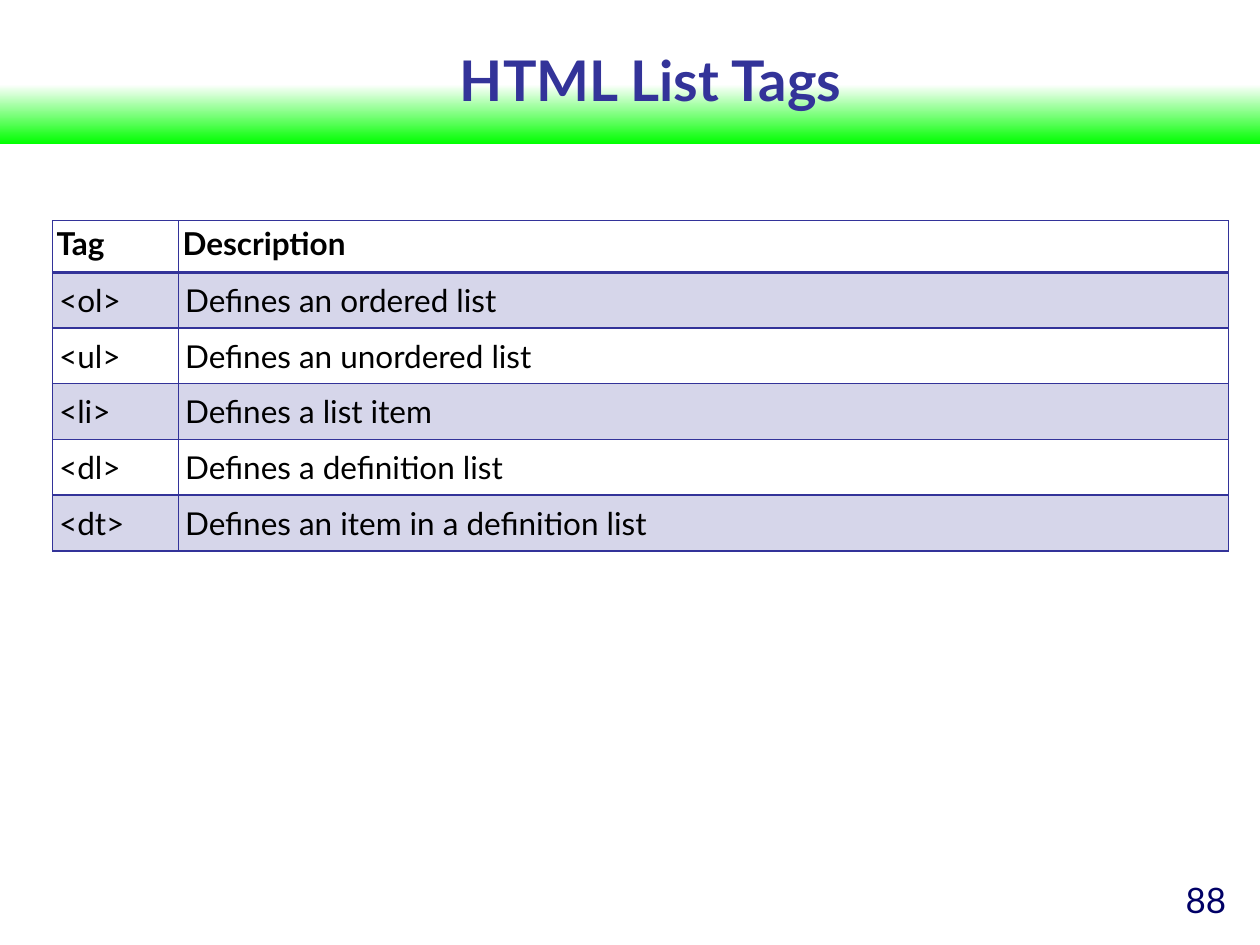
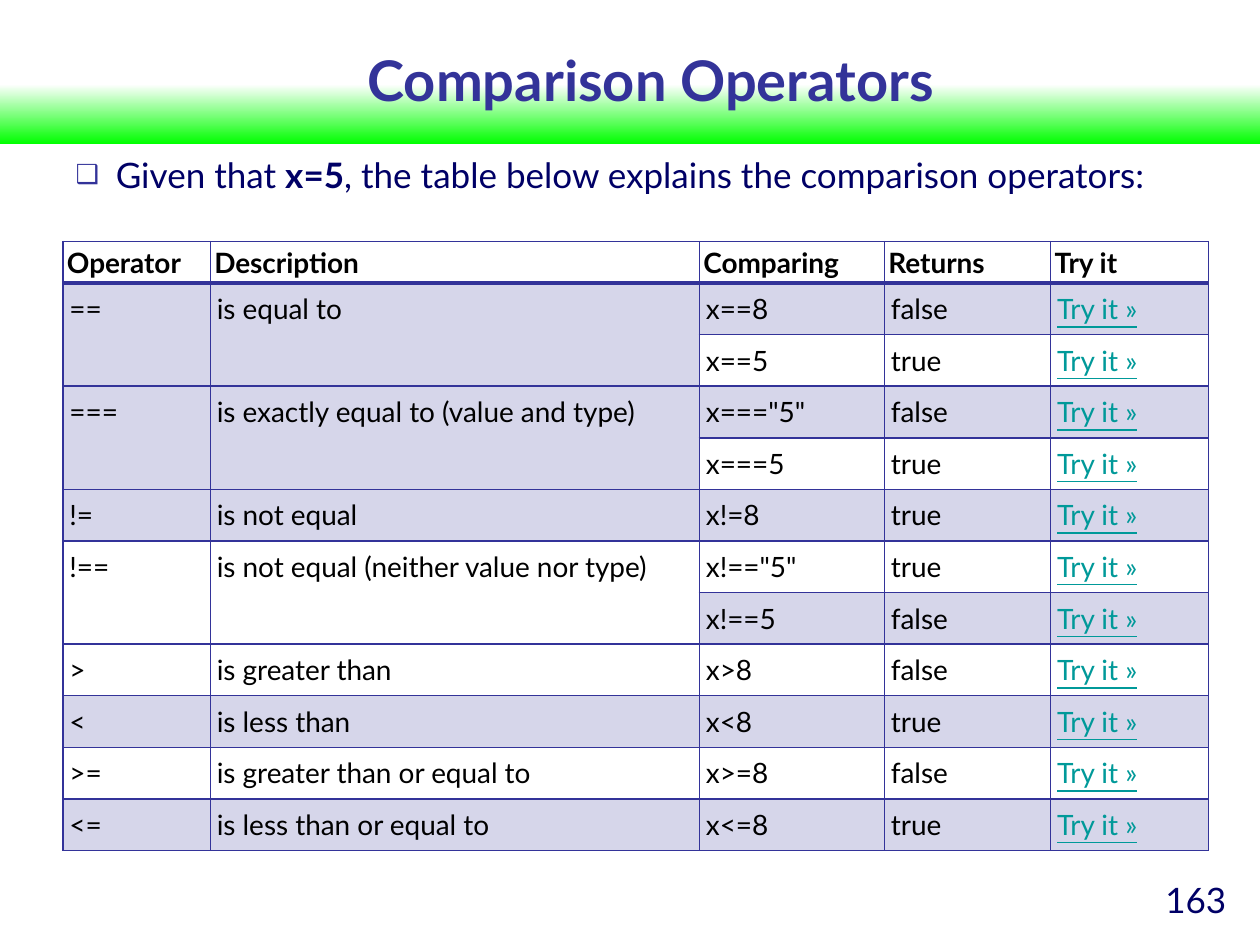
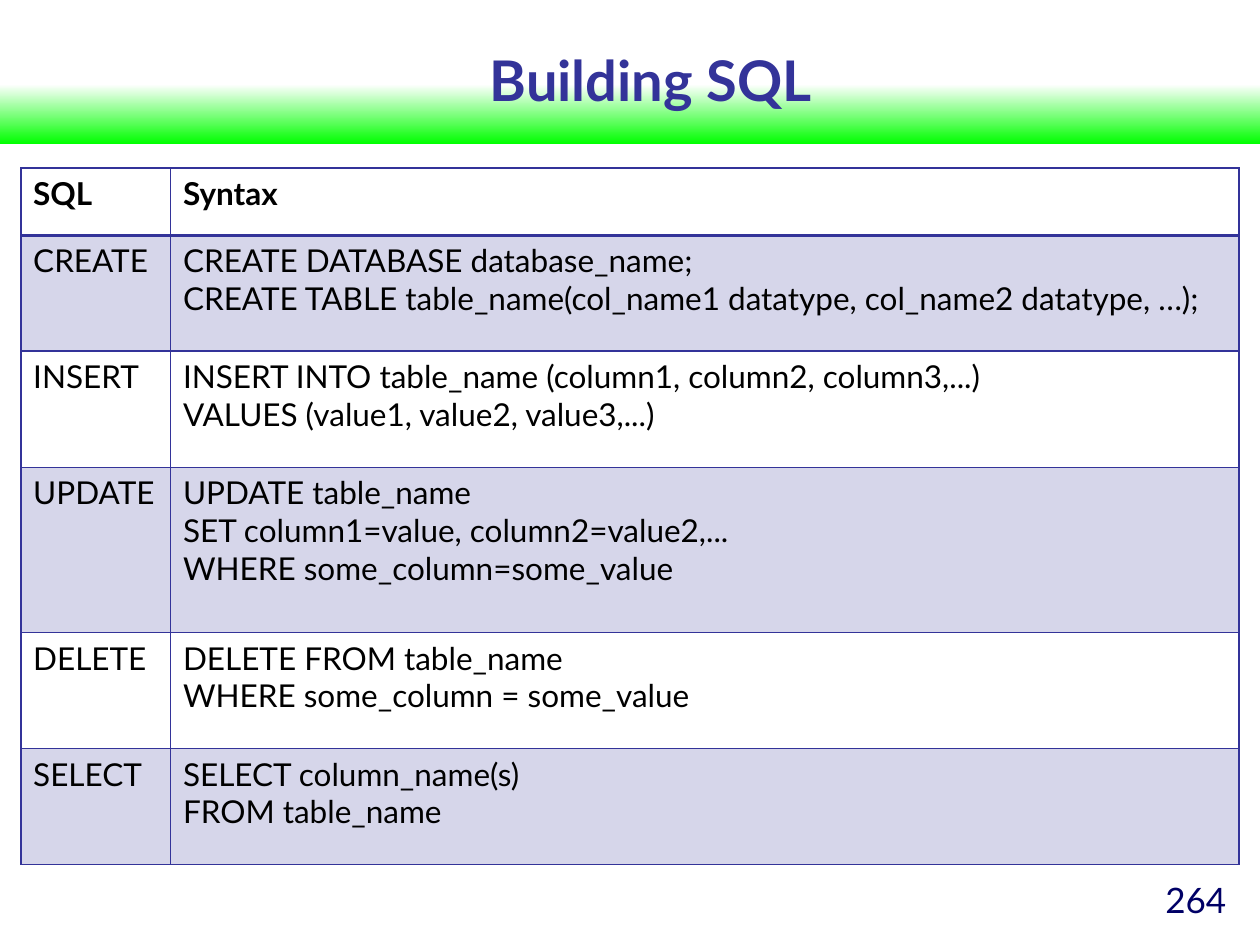
"""Build three slides of web tables that share a green band, title style and page number."""
from lxml import etree
from pptx import Presentation
from pptx.dml.color import RGBColor
from pptx.enum.shapes import MSO_SHAPE as Shape
from pptx.enum.text import MSO_ANCHOR as Anchor, MSO_AUTO_SIZE as AutoSize, PP_ALIGN as Align
from pptx.oxml.ns import qn
from pptx.util import Cm, Pt

FONT = "Lato"
INDIGO, NAVY, BLACK, TEAL = "333399", "000066", "000000", "009999"
WHITE, GREEN = "FFFFFF", "01FF01"
TITLE_ONLY, TITLE_AND_BODY = 5, 1
LINK = "Try it »"

SLIDES = [
    {
        "title": "HTML List Tags",
        "number": "88",
        "place": (1.06, 4.45),
        "columns": [2.54, 21.16],
        "heights": [1.04] * 6,
        "size": 18,
        "insets": [(0.08, 0.08), (0.13, 0.18)],
        "rows": [
            ("Tag", "Description"),
            ("<ol>", "Defines an ordered list"),
            ("<ul>", "Defines an unordered list"),
            ("<li>", "Defines a list item"),
            ("<dl>", "Defines a definition list"),
            ("<dt>", "Defines an item in a definition list"),
        ],
    },
    {
        "title": "Comparison Operators",
        "number": "163",
        "body": [
            ("Given that ", False),
            ("x=5", True),
            (", the table below explains the comparison operators:", False),
        ],
        "place": (1.27, 4.87),
        "columns": [2.97, 9.86, 3.73, 3.35, 3.18],
        "heights": [0.43] + [1.04] * 11,
        "size": 16,
        "insets": [(0.08, 0.08), (0.13, 0.18)],
        "rows": [
            ("Operator", "Description", "Comparing", "Returns", "Try it"),
            ("==", "is equal to", "x==8", "false", LINK),
            (None, None, "x==5", "true", LINK),
            ("===", "is exactly equal to (value and type)", 'x==="5"', "false", LINK),
            (None, None, "x===5", "true", LINK),
            ("!=", "is not equal", "x!=8", "true", LINK),
            ("!==", "is not equal (neither value nor type)", 'x!=="5"', "true", LINK),
            (None, None, "x!==5", "false", LINK),
            (">", "is greater than", "x>8", "false", LINK),
            ("<", "is less than", "x<8", "true", LINK),
            (">=", "is greater than or equal to", "x>=8", "false", LINK),
            ("<=", "is less than or equal to", "x<=8", "true", LINK),
        ],
    },
    {
        "title": "Building SQL",
        "number": "264",
        "place": (0.42, 3.39),
        "columns": [3.02, 21.54],
        "heights": [1.35, 2.34, 2.34, 3.33, 2.34, 2.34],
        "size": 18,
        "insets": [(0.25, 0.13), (0.25, 0.13)],
        "rows": [
            ("SQL", "Syntax"),
            ("CREATE", "CREATE DATABASE database_name;\n"
             "CREATE TABLE table_name(col_name1 datatype, col_name2 datatype, …);"),
            ("INSERT", "INSERT INTO table_name (column1, column2, column3,...)\v"
             "VALUES (value1, value2, value3,...)"),
            ("UPDATE", "UPDATE table_name\vSET column1=value, column2=value2,...\v"
             "WHERE some_column=some_value"),
            ("DELETE", "DELETE FROM table_name\vWHERE some_column = some_value"),
            ("SELECT", "SELECT column_name(s)\vFROM table_name"),
        ],
    },
]


def paint(color, value):
    color.rgb = RGBColor.from_string(value)


def add_node(parent, tag, **attributes):
    return etree.SubElement(parent, qn(tag), attributes)


def place(shape, left, top, width, height):
    shape.left, shape.top, shape.width, shape.height = map(Cm, (left, top, width, height))


def write(para, text, size, color, bold=False, underline=False, align=Align.LEFT):
    para.alignment = align
    for index, line in enumerate(text.split("\v")):
        if index:
            para.add_line_break()
        span = para.add_run()
        span.text = line
        font = span.font
        font.name, font.size, font.bold, font.underline = FONT, Pt(size), bold, underline
        paint(font.color, color)


def add_band(deck, page):
    """Draw the gradient band and move it to the master, behind everything."""
    band = page.shapes.add_shape(Shape.RECTANGLE, 0, Cm(1.7), deck.slide_width, Cm(1.2))
    band.shadow.inherit = False
    band.line.fill.background()
    band.fill.gradient()
    band.fill.gradient_angle = 270
    for stop, position, value in zip(band.fill.gradient_stops, (0, 1), (WHITE, GREEN)):
        stop.position = position
        paint(stop.color, value)
    deck.slide_master.shapes.element.insert(2, band.element)


def add_title(page, text):
    title = page.shapes.title
    place(title, 1.27, 0.43, 23.7, 2.34)
    frame = title.text_frame
    frame.vertical_anchor, frame.auto_size = Anchor.MIDDLE, AutoSize.NONE
    write(frame.paragraphs[0], text, 32, INDIGO, bold=True, align=Align.CENTER)


def add_number(page, text):
    box = page.shapes.add_textbox(Cm(22.23), Cm(17.58), Cm(2.74), Cm(1.07))
    box.text_frame.word_wrap = True
    write(box.text_frame.paragraphs[0], text, 20, NAVY, align=Align.RIGHT)


def add_body(page, spans):
    body = page.placeholders[1]
    place(body, 1.27, 2.97, 23.7, 1.47)
    body.text_frame.auto_size = AutoSize.NONE
    para = body.text_frame.paragraphs[0]
    para.space_before = Pt(0)
    layout = para._p.get_or_add_pPr()
    layout.set("marL", str(Cm(0.81)))
    layout.set("indent", str(-Cm(0.81)))
    add_node(add_node(layout, "a:buClr"), "a:srgbClr", val=INDIGO)
    add_node(layout, "a:buSzPct", val="75000")
    add_node(layout, "a:buChar", char="❑")
    for text, bold in spans:
        write(para, text, 20, NAVY, bold=bold)


def add_borders(cell, top, bottom):
    """Outline a cell; the widths of its top and bottom are in points."""
    properties = cell._tc.get_or_add_tcPr()
    sides = {"a:lnL": 1, "a:lnR": 1, "a:lnT": top, "a:lnB": bottom}
    for index, (tag, width) in enumerate(sides.items()):
        line = add_node(properties, tag, w=str(Pt(width)))
        add_node(add_node(line, "a:solidFill"), "a:srgbClr", val=INDIGO)
        properties.insert(index, line)


def shade(cell, shaded):
    if not shaded:
        cell.fill.background()
        return
    cell.fill.solid()
    paint(cell.fill.fore_color, INDIGO)
    add_node(cell._tc.tcPr.find(".//" + qn("a:srgbClr")), "a:alpha", val="20000")


def fill_cell(cell, text, size, inset, header):
    side, edge = map(Cm, inset)
    cell.margin_left = cell.margin_right = side
    cell.margin_top = cell.margin_bottom = edge
    frame = cell.text_frame
    link = text == LINK
    for index, block in enumerate(text.split("\n")):
        para = frame.add_paragraph() if index else frame.paragraphs[0]
        write(para, block, size, TEAL if link else BLACK, bold=header, underline=link)


def add_grid(page, content):
    rows, columns, heights = content["rows"], content["columns"], content["heights"]
    left, top = content["place"]
    table = page.shapes.add_table(len(rows), len(columns), Cm(left), Cm(top),
                                  Cm(sum(columns)), Cm(sum(heights))).table
    table.horz_banding = False
    for column, width in zip(table.columns, columns):
        column.width = Cm(width)
    for row, height in zip(table.rows, heights):
        row.height = Cm(height)
    for y, texts in enumerate(rows):
        header = y == 0
        for x, text in enumerate(texts):
            cell = table.cell(y, x)
            shade(cell, y % 2 == 1)
            add_borders(cell, 2 if y == 1 else 1, 2 if header else 1)
            if text is None:
                table.cell(y - 1, x).merge(cell)
            else:
                fill_cell(cell, text, content["size"], content["insets"][not header], header)


def main():
    deck = Presentation()
    deck.slide_width, deck.slide_height = Cm(25.4), Cm(19.05)
    for index, content in enumerate(SLIDES):
        layout = TITLE_AND_BODY if "body" in content else TITLE_ONLY
        page = deck.slides.add_slide(deck.slide_layouts[layout])
        if index == 0:
            add_band(deck, page)
        add_title(page, content["title"])
        if "body" in content:
            add_body(page, content["body"])
        add_grid(page, content)
        add_number(page, content["number"])
    deck.save("out.pptx")


if __name__ == "__main__":
    main()
